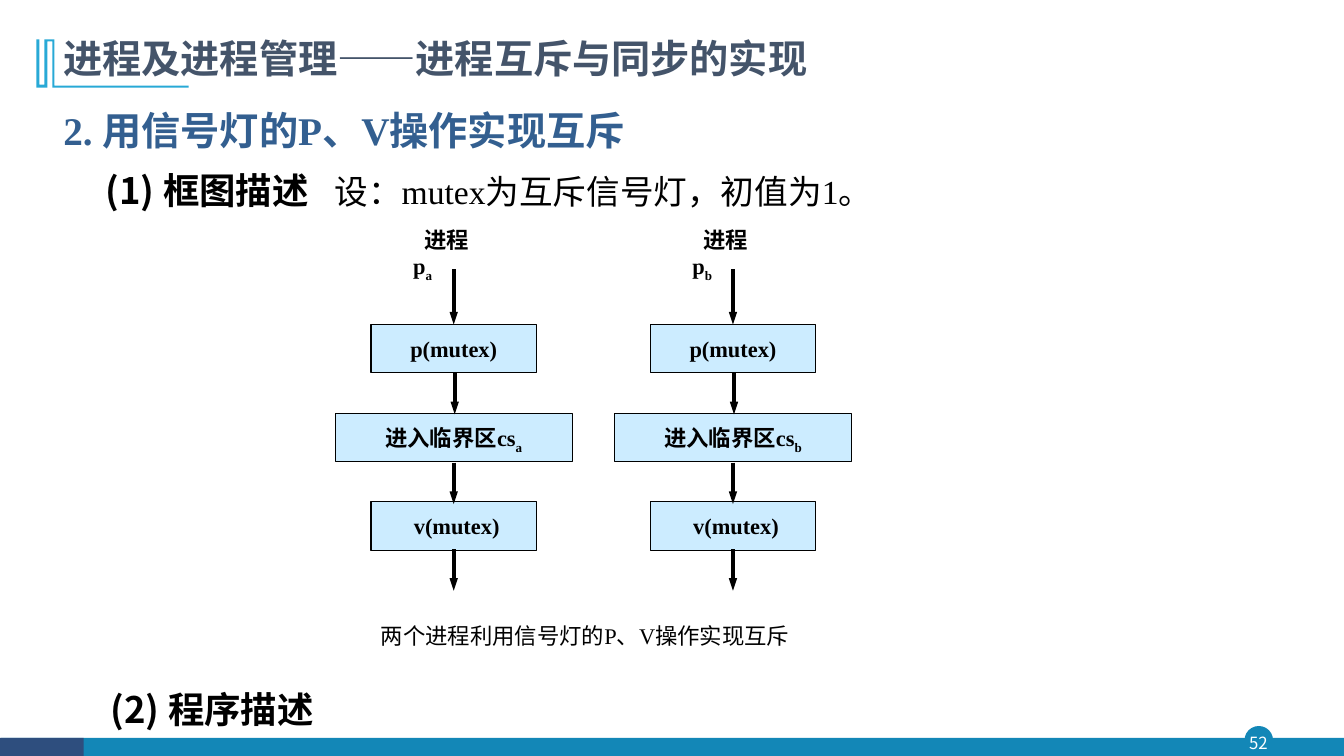
from lxml.etree import SubElement
from pptx import Presentation
from pptx.dml.color import RGBColor
from pptx.enum.shapes import MSO_CONNECTOR, MSO_SHAPE
from pptx.enum.text import MSO_ANCHOR, PP_ALIGN
from pptx.oxml.ns import qn
from pptx.util import Inches, Pt

COLORS = {
    "teal": "1387B7", "navy": "2E4E7E", "cyan": "28A9D6", "title": "44546A",
    "heading": "335F90", "black": "000000", "white": "FFFFFF", "box": "CCECFF",
}
SANS = "Noto Sans CJK SC"
SERIF = "Times New Roman"


def add_run(paragraph, text, size=16, font=SERIF, color="black", bold=False,
            baseline=None, spacing=None):
    run = paragraph.add_run()
    run.text = text
    run.font.size = Pt(size)
    run.font.name = font
    run.font.bold = bold
    run.font.color.rgb = RGBColor.from_string(COLORS[color])
    properties = run.font._element
    SubElement(properties, qn("a:ea")).set("typeface", SANS)
    if baseline:
        properties.set("baseline", str(baseline * 1000))
    if spacing:
        properties.set("spc", str(spacing * 100))


def paint(shape, fill, line=None, width=0.75):
    shape.shadow.inherit = False
    shape.fill.solid()
    shape.fill.fore_color.rgb = RGBColor.from_string(COLORS[fill])
    if line:
        shape.line.color.rgb = RGBColor.from_string(COLORS[line])
        shape.line.width = Pt(width)
    else:
        shape.line.fill.background()


presentation = Presentation()
presentation.slide_width = Inches(13.33)
presentation.slide_height = Inches(7.5)
slide = presentation.slides.add_slide(presentation.slide_layouts[6])
shapes = slide.shapes

for kind, area, fill, line in [
    (MSO_SHAPE.OVAL, (12.35, 7.21, 0.27, 0.27), "teal", "teal"),
    (MSO_SHAPE.RECTANGLE, (0.01, 7.32, 13.32, 0.19), "teal", None),
    (MSO_SHAPE.RECTANGLE, (0, 7.32, 0.83, 0.19), "navy", None),
]:
    paint(shapes.add_shape(kind, *map(Inches, area)), fill, line, 1)

title_mark = [
    (0.54, 0.39), (0.54, 0.85), (1.87, 0.85), (1.87, 0.87), (0.52, 0.87),
    (0.52, 0.41), (0.47, 0.41), (0.47, 0.87), (0.36, 0.87), (0.36, 0.39),
    (0.39, 0.39), (0.39, 0.84), (0.44, 0.84), (0.44, 0.39),
]
builder = shapes.build_freeform(*map(Inches, title_mark[0]), scale=1.0)
builder.add_line_segments([(Inches(x), Inches(y)) for x, y in title_mark[1:]])
paint(builder.convert_to_shape(), "cyan")

frames = {}
for name, area, spacing, alignment in [
    ("number", (12.32, 7.21, 0.32, 0.31), 1, PP_ALIGN.CENTER),
    ("title", (0.53, 0.34, 10.49, 0.56), 0.9, PP_ALIGN.LEFT),
    ("heading", (0.53, 0.91, 9.1, 1.28), 1.2, PP_ALIGN.LEFT),
    ("program", (1, 6.55, 6.18, 0.68), 1.5, PP_ALIGN.JUSTIFY),
    ("caption", (3.68, 6.07, 4.4, 0.42), 1.2, PP_ALIGN.JUSTIFY),
]:
    frame = shapes.add_textbox(*map(Inches, area)).text_frame
    frame.word_wrap = True
    frame.paragraphs[0].line_spacing = spacing
    frame.paragraphs[0].alignment = alignment
    frames[name] = frame

number = frames["number"]
number.margin_left = number.margin_right = number.margin_top = number.margin_bottom = 0
number.vertical_anchor = MSO_ANCHOR.MIDDLE
add_run(number.paragraphs[0], "52", size=12, font=SANS, color="white")
add_run(frames["title"].paragraphs[0], "进程及进程管理——进程互斥与同步的实现",
        size=28, font=SANS, color="title", bold=True)
add_run(frames["heading"].paragraphs[0], "2. 用信号灯的P、V操作实现互斥",
        size=28, color="heading", bold=True)
diagram_intro = frames["heading"].add_paragraph()
diagram_intro.line_spacing = 1.2
diagram_intro.space_before = Pt(2)
diagram_intro._p.get_or_add_pPr().set("marL", str(Inches(0.42)))
add_run(diagram_intro, "(1) 框图描述", size=26, font=SANS, bold=True)
add_run(diagram_intro, " ", size=28, spacing=12)
add_run(diagram_intro, "设：mutex为互斥信号灯，初值为1。", size=24)
add_run(frames["program"].paragraphs[0], "(2) 程序描述", size=26, font=SANS, bold=True)
add_run(frames["caption"].paragraphs[0], "两个进程利用信号灯的P、V操作实现互斥")

for process, center in [("a", 4.5), ("b", 7.27)]:
    label = shapes.add_textbox(Inches(center - 0.5), Inches(2.19), Inches(0.97), Inches(0.64))
    label.text_frame.word_wrap = True
    label.text_frame.margin_right = Inches(0.15)
    paragraph = label.text_frame.paragraphs[0]
    paragraph._p.get_or_add_pPr().set("indent", str(Inches(0.11)))
    add_run(paragraph, "进程 p", bold=True)
    add_run(paragraph, process, bold=True, baseline=-25)

    for text, subscript, top, width, indent in [
        ("p(mutex)", None, 3.22, 1.64, 0),
        ("进入临界区cs", process, 4.1, 2.35, 0),
        ("v(mutex)", None, 4.98, 1.64, 0.06),
    ]:
        step = shapes.add_shape(MSO_SHAPE.RECTANGLE, Inches(center - width / 2),
                                Inches(top), Inches(width), Inches(0.48))
        paint(step, "box", "black")
        step.text_frame.vertical_anchor = MSO_ANCHOR.TOP
        paragraph = step.text_frame.paragraphs[0]
        paragraph.alignment = PP_ALIGN.CENTER
        paragraph.line_spacing = 1.2
        paragraph._p.get_or_add_pPr().set("indent", str(Inches(indent)))
        add_run(paragraph, text, bold=True)
        if subscript:
            add_run(paragraph, subscript, bold=True, baseline=-25)

    for shift, start, end in [(0, 2.67, 3.22), (0.01, 3.7, 4.11), (0, 4.59, 5), (0, 5.45, 5.86)]:
        x = Inches(center + shift)
        arrow = shapes.add_connector(MSO_CONNECTOR.STRAIGHT, x, Inches(start), x, Inches(end))
        arrow.line.color.rgb = RGBColor.from_string(COLORS["black"])
        arrow.line.width = Pt(3)
        head = SubElement(arrow.line._get_or_add_ln(), qn("a:tailEnd"))
        for key, value in [("type", "triangle"), ("w", "sm"), ("len", "med")]:
            head.set(key, value)
        SubElement(arrow._element.spPr, qn("a:effectLst"))

presentation.save("out.pptx")
